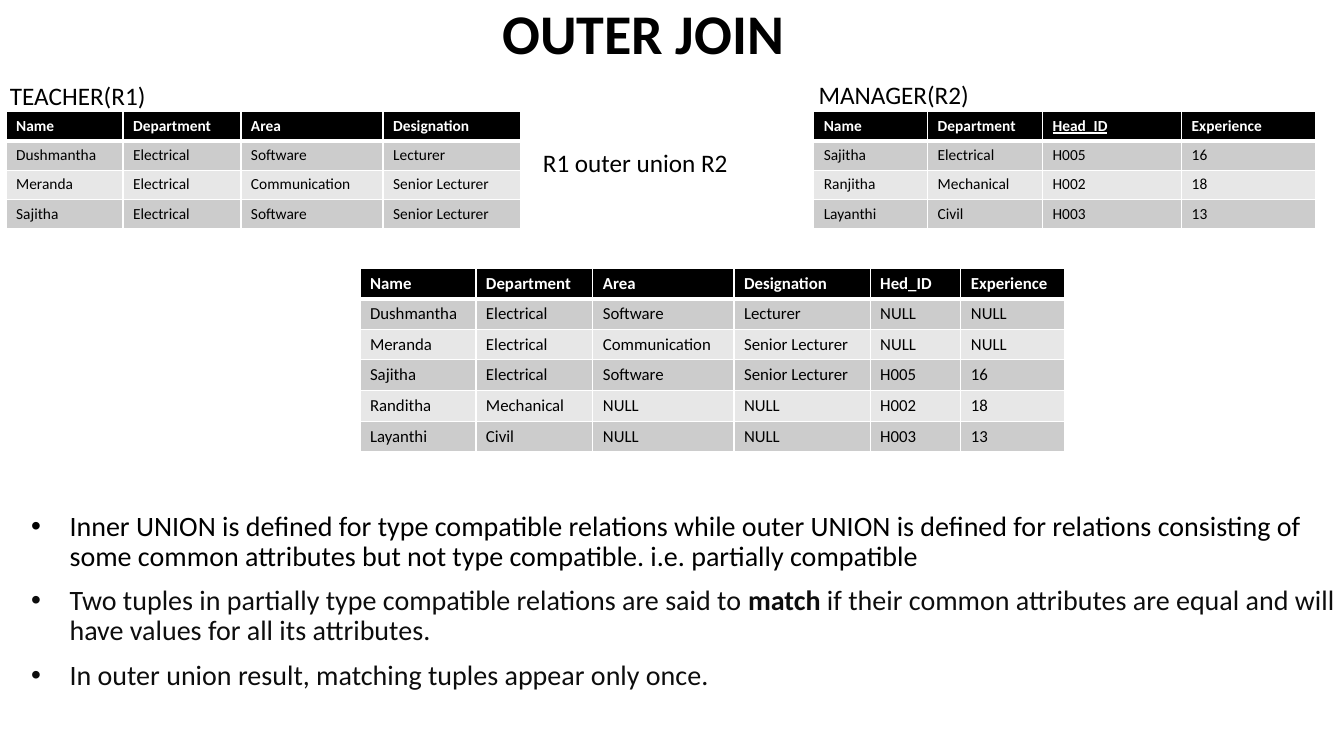
"""Build the OUTER JOIN slide with its relations, their outer union and notes."""
import dataclasses

import lxml.etree
import pptx
import pptx.dml.color
import pptx.enum.text
import pptx.oxml.ns
import pptx.util

Inches = pptx.util.Inches
Pt = pptx.util.Pt
qn = pptx.oxml.ns.qn


@dataclasses.dataclass(frozen=True)
class Theme:
    font: str = "Calibri"
    black: str = "000000"
    white: str = "FFFFFF"
    soft_black: str = "0D0D0D"
    bands: tuple = ("CCCCCC", "E7E7E7")
    title: int = 40
    body: int = 20
    label: int = 18
    result: int = 12
    relation: int = 11


class SlideBuilder:
    def __init__(self, prs, theme):
        self.theme = theme
        self.slide = prs.slides.add_slide(prs.slide_layouts[1])

    def place(self, sp, box):
        for name, value in zip(("left", "top", "width", "height"), box):
            setattr(sp, name, Inches(value))

    def run(self, p, text, size, color, **formats):
        r = p.add_run()
        r.text = text
        formats = {"name": self.theme.font, "size": Pt(size), "bold": False, **formats}
        for name, value in formats.items():
            setattr(r.font, name, value)
        r.font.color.rgb = pptx.dml.color.RGBColor.from_string(color)

    def frame(self, sp, **formats):
        tf = sp.text_frame
        formats = {"word_wrap": True, "auto_size": pptx.enum.text.MSO_AUTO_SIZE.NONE, **formats}
        for name, value in formats.items():
            setattr(tf, name, value)
        return tf

    def title(self, text, box):
        sp = self.slide.shapes.title
        self.place(sp, box)
        tf = self.frame(sp, vertical_anchor=pptx.enum.text.MSO_ANCHOR.BOTTOM)
        p = tf.paragraphs[0]
        p.alignment = pptx.enum.text.PP_ALIGN.CENTER
        p.line_spacing = 0.9
        self.run(p, text, self.theme.title, self.theme.black, bold=True)

    def bullets(self, items, box):
        sp = self.slide.placeholders[1]
        self.place(sp, box)
        tf = self.frame(sp, vertical_anchor=pptx.enum.text.MSO_ANCHOR.TOP)
        for i, (color, parts) in enumerate(items):
            p = tf.add_paragraph() if i else tf.paragraphs[0]
            for name, value in {"line_spacing": 0.9, "space_before": Pt(10)}.items():
                setattr(p, name, value)
            pPr = p._p.get_or_add_pPr()
            pPr.set("marL", str(Inches(0.38)))
            pPr.set("indent", str(-Inches(0.38)))
            lxml.etree.SubElement(pPr, qn("a:buFont")).set("typeface", "Arial")
            lxml.etree.SubElement(pPr, qn("a:buChar")).set("char", "•")
            for text, bold in parts:
                self.run(p, text, self.theme.body, color, bold=bold)

    def label(self, text, box):
        sp = self.slide.shapes.add_textbox(*map(Inches, box))
        self.run(self.frame(sp).paragraphs[0], text, self.theme.label, self.theme.black)

    def borders(self, cell, bottom):
        tcPr = cell._tc.get_or_add_tcPr()
        for side, width in {"L": 1, "R": 1, "T": 1, "B": bottom}.items():
            ln = lxml.etree.SubElement(tcPr, qn(f"a:ln{side}"), w=str(Pt(width)))
            fill = lxml.etree.SubElement(ln, qn("a:solidFill"))
            lxml.etree.SubElement(fill, qn("a:srgbClr")).set("val", self.theme.white)

    def table(self, rows, left, top, widths, row_height, size, underlined=()):
        t = self.theme
        box = (left, top, sum(widths), row_height * len(rows))
        table = self.slide.shapes.add_table(len(rows), len(widths), *map(Inches, box)).table
        for column, width in zip(table.columns, widths):
            column.width = Inches(width)
        for i, row in enumerate(rows):
            header = i == 0
            for j, text in enumerate(row):
                cell = table.cell(i, j)
                self.borders(cell, 3 if header else 1)
                cell.fill.solid()
                fill = t.black if header else t.bands[(i - 1) % 2]
                cell.fill.fore_color.rgb = pptx.dml.color.RGBColor.from_string(fill)
                self.run(cell.text_frame.paragraphs[0], text, size,
                         t.white if header else t.black, bold=header,
                         underline=header and text in underlined)


TEACHER = [
    ("Name", "Department", "Area", "Designation"),
    ("Dushmantha", "Electrical", "Software", "Lecturer"),
    ("Meranda", "Electrical", "Communication", "Senior Lecturer"),
    ("Sajitha", "Electrical", "Software", "Senior Lecturer"),
]
MANAGER = [
    ("Name", "Department", "Head_ID", "Experience"),
    ("Sajitha", "Electrical", "H005", "16"),
    ("Ranjitha", "Mechanical", "H002", "18"),
    ("Layanthi", "Civil", "H003", "13"),
]
OUTER_UNION = [
    ("Name", "Department", "Area", "Designation", "Hed_ID", "Experience"),
    ("Dushmantha", "Electrical", "Software", "Lecturer", "NULL", "NULL"),
    ("Meranda", "Electrical", "Communication", "Senior Lecturer", "NULL", "NULL"),
    ("Sajitha", "Electrical", "Software", "Senior Lecturer", "H005", "16"),
    ("Randitha", "Mechanical", "NULL", "NULL", "H002", "18"),
    ("Layanthi", "Civil", "NULL", "NULL", "H003", "13"),
]


def main():
    prs = pptx.Presentation()
    prs.slide_width, prs.slide_height = Inches(13.33), Inches(7.5)
    theme = Theme()
    s = SlideBuilder(prs, theme)
    s.title("OUTER JOIN", (0.88, 0.02, 11, 0.69))
    s.bullets([
        (theme.black, [("Inner UNION is defined for type compatible relations while outer UNION "
                        "is defined for relations consisting of some common attributes but not "
                        "type compatible. i.e. partially compatible", False)]),
        (theme.soft_black, [("Two tuples in partially type compatible relations are said to ", False),
                            ("match", True),
                            (" if their common attributes are equal and will have values for all "
                             "its attributes.", False)]),
        (theme.soft_black, [("In outer union result, matching tuples appear only once.", False)]),
    ], (0.21, 5.03, 13.33, 3.02))
    s.label(" R1 outer union R2", (5.23, 1.41, 3.26, 0.4))
    s.table(OUTER_UNION, 3.57, 2.66, (1.15, 1.16, 1.4, 1.35, 0.9, 1.03), 0.3, theme.result)
    s.table(TEACHER, 0.06, 1.11, (1.16, 1.17, 1.41, 1.36), 0.28, theme.relation)
    s.label("TEACHER(R1)", (0, 0.75, 1.62, 0.4))
    s.table(MANAGER, 8.07, 1.11, (1.13, 1.14, 1.38, 1.33), 0.28, theme.relation, ("Head_ID",))
    s.label("MANAGER(R2)", (8.02, 0.74, 2.13, 0.4))
    prs.save("out.pptx")


if __name__ == "__main__":
    main()
